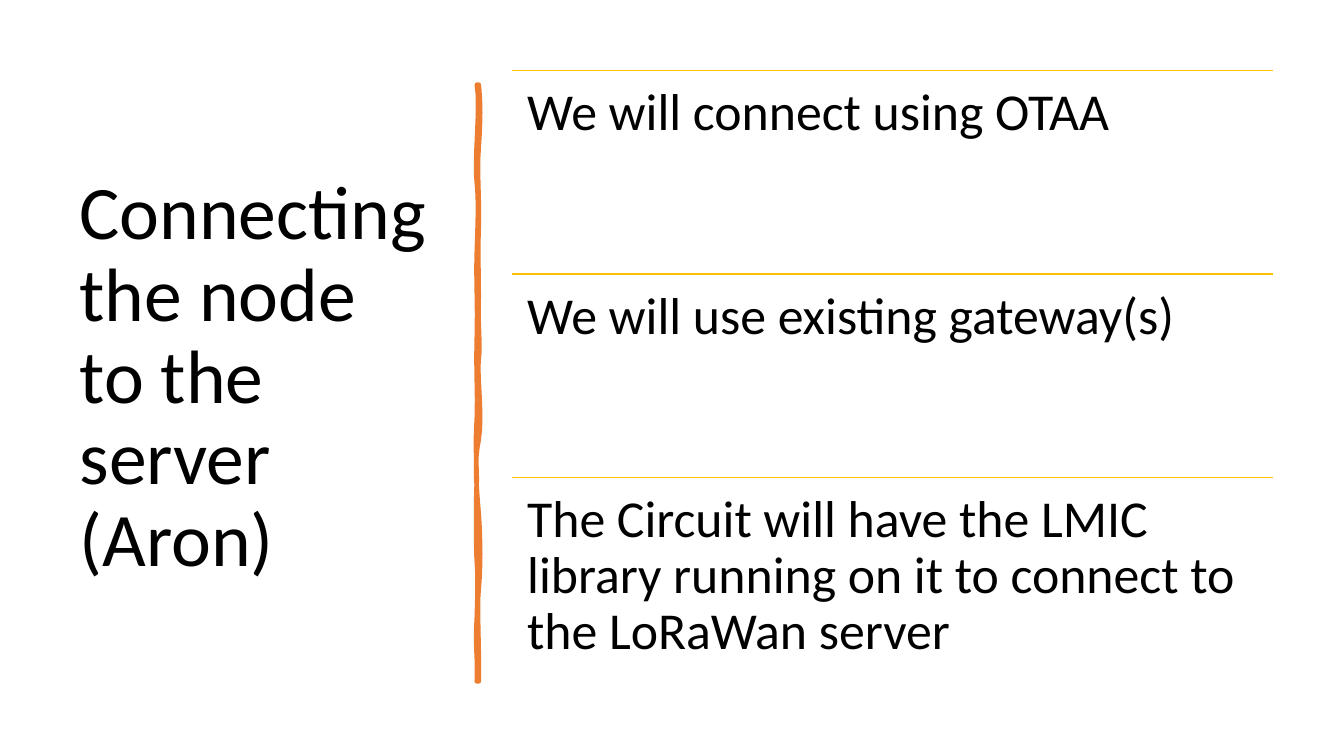
from dataclasses import dataclass

from lxml.etree import SubElement
from pptx import Presentation
from pptx.dml.color import RGBColor
from pptx.enum.shapes import MSO_CONNECTOR
from pptx.enum.text import MSO_ANCHOR
from pptx.oxml.ns import qn
from pptx.util import Pt


@dataclass(frozen=True)
class Theme:
    font: str = "Calibri"
    text: RGBColor = RGBColor(0x00, 0x00, 0x00)
    stroke: RGBColor = RGBColor(0xED, 0x7D, 0x31)
    rule: RGBColor = RGBColor(0xFF, 0xC0, 0x00)
    title_size: float = 54
    body_size: float = 37
    stroke_width: float = 3.25
    rule_width: float = 1


@dataclass(frozen=True)
class Frame:
    left: float
    top: float
    width: float
    height: float


@dataclass(frozen=True)
class Bend:
    """One cubic curve along a vertical edge; shifts are sideways."""
    first_shift: float
    first_y: float
    second_shift: float
    second_y: float
    end_y: float


@dataclass(frozen=True)
class Edge:
    x: float
    start_y: float
    bends: tuple[Bend, ...]


THEME = Theme()
TITLE = "Connecting the node to the server (Aron)"
TITLE_FRAME = Frame(49.7, 50.4, 269.3, 439.9)
POINTS = (
    "We will connect using OTAA",
    "We will use existing gateway(s)",
    "The Circuit will have the LMIC library running on it to connect to the LoRaWan server",
)
FIRST_ROW = Frame(365.76, 50.4, 543.6, 145.44)

STROKE_EDGES = (
    Edge(342, 60.5, (
        Bend(1.4, 73.4, 1.4, 85.7, 105.1),
        Bend(-1.4, 124.6, 0.7, 140.4, 162.7),
        Bend(-0.7, 185, 0, 188.6, 211.7),
        Bend(-0.7, 234, 1.4, 246.2, 256.3),
        Bend(-1.4, 266.4, 2.9, 298.1, 313.9),
        Bend(-2.9, 329, -2.2, 339.8, 367.2),
        Bend(1.4, 385.9, 1.4, 406.1, 420.5),
        Bend(-1.4, 434.2, 0.7, 468, 486.7),
    )),
    Edge(340.6, 486.7, (
        Bend(0.7, 465.1, -1.4, 463.7, 441.4),
        Bend(0.7, 419.8, 0.7, 410.4, 401),
        Bend(-0.7, 391.7, -0.7, 356.4, 343.4),
        Bend(0, 330.5, -1.4, 320.4, 298.8),
        Bend(0.7, 277.9, -0.7, 268.6, 241.2),
        Bend(0.7, 214.6, -0.7, 202.3, 180),
        Bend(0.7, 157, 1.4, 144, 130.3),
        Bend(-2.2, 117.4, 2.9, 74.9, 60.5),
    )),
)


def trace_edge(edge: Edge, steps: int = 8) -> list[tuple[int, int]]:
    """Return points that follow the curves of an edge."""
    points = [(Pt(edge.x), Pt(edge.start_y))]
    start_y = edge.start_y
    for bend in edge.bends:
        for step in range(1, steps + 1):
            t = step / steps
            u = 1 - t
            first, second = 3 * u * u * t, 3 * u * t * t
            x = edge.x + first * bend.first_shift + second * bend.second_shift
            y = (u ** 3 * start_y + first * bend.first_y
                 + second * bend.second_y + t ** 3 * bend.end_y)
            points.append((Pt(x), Pt(y)))
        start_y = bend.end_y
    return points


def add_brush_stroke(page, edges: tuple[Edge, ...]) -> None:
    points = [point for edge in edges for point in trace_edge(edge)]
    builder = page.shapes.build_freeform(*points[0])
    builder.add_line_segments(points[1:], close=True)
    stroke = builder.convert_to_shape()
    stroke.shadow.inherit = False
    stroke.fill.solid()
    stroke.fill.fore_color.rgb = THEME.stroke
    stroke.line.color.rgb = THEME.stroke
    stroke.line.width = Pt(THEME.stroke_width)
    SubElement(stroke.line._get_or_add_ln(), qn("a:round"))


def add_rule(page, row: Frame) -> None:
    rule = page.shapes.add_connector(
        MSO_CONNECTOR.STRAIGHT, Pt(row.left), Pt(row.top),
        Pt(row.left + row.width), Pt(row.top))
    rule.line.color.rgb = THEME.rule
    rule.line.width = Pt(THEME.rule_width)
    SubElement(rule._element.spPr, qn("a:effectLst"))


def add_text(page, text: str, frame: Frame, *, size: float,
             anchor: MSO_ANCHOR, margin_x: float, margin_y: float) -> None:
    box = page.shapes.add_textbox(
        Pt(frame.left), Pt(frame.top), Pt(frame.width), Pt(frame.height))
    body = box.text_frame
    body.word_wrap = True
    body.vertical_anchor = anchor
    body.margin_left = body.margin_right = Pt(margin_x)
    body.margin_top = body.margin_bottom = Pt(margin_y)
    para = body.paragraphs[0]
    para.line_spacing = 0.9
    span = para.add_run()
    span.text = text
    span.font.name = THEME.font
    span.font.size = Pt(size)
    span.font.color.rgb = THEME.text


def main() -> None:
    deck = Presentation()
    deck.slide_width, deck.slide_height = Pt(960), Pt(540)
    page = deck.slides.add_slide(deck.slide_layouts[6])

    # Title and the brush stroke beside it
    add_text(page, TITLE, TITLE_FRAME, size=THEME.title_size,
             anchor=MSO_ANCHOR.MIDDLE, margin_x=7.2, margin_y=3.6)
    add_brush_stroke(page, STROKE_EDGES)

    # Ruled rows of equal height
    for index, point in enumerate(POINTS):
        row = Frame(FIRST_ROW.left, FIRST_ROW.top + index * FIRST_ROW.height,
                    FIRST_ROW.width, FIRST_ROW.height)
        add_rule(page, row)
        add_text(page, point, row, size=THEME.body_size,
                 anchor=MSO_ANCHOR.TOP, margin_x=10.8, margin_y=10.8)

    deck.save("out.pptx")


if __name__ == "__main__":
    main()
